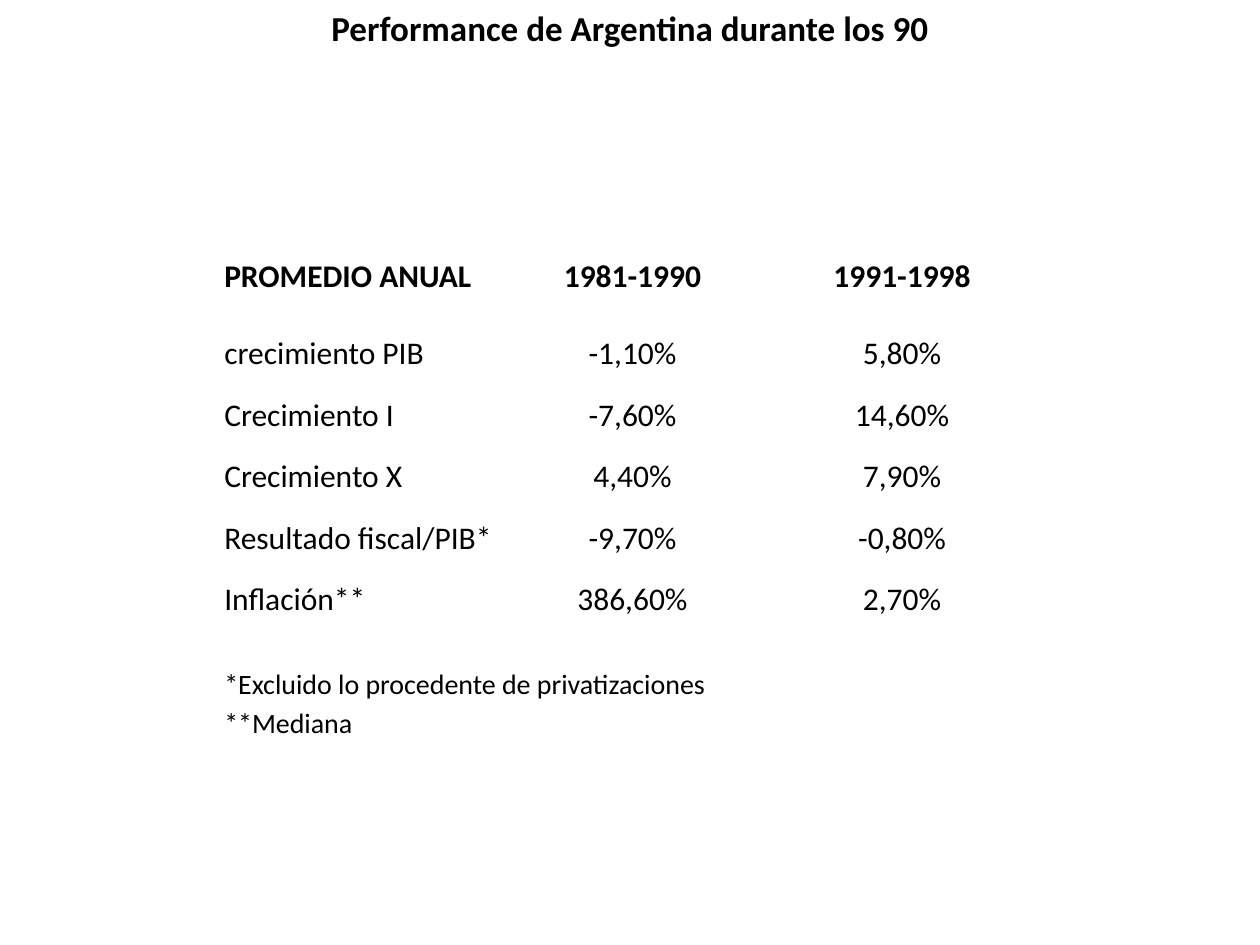
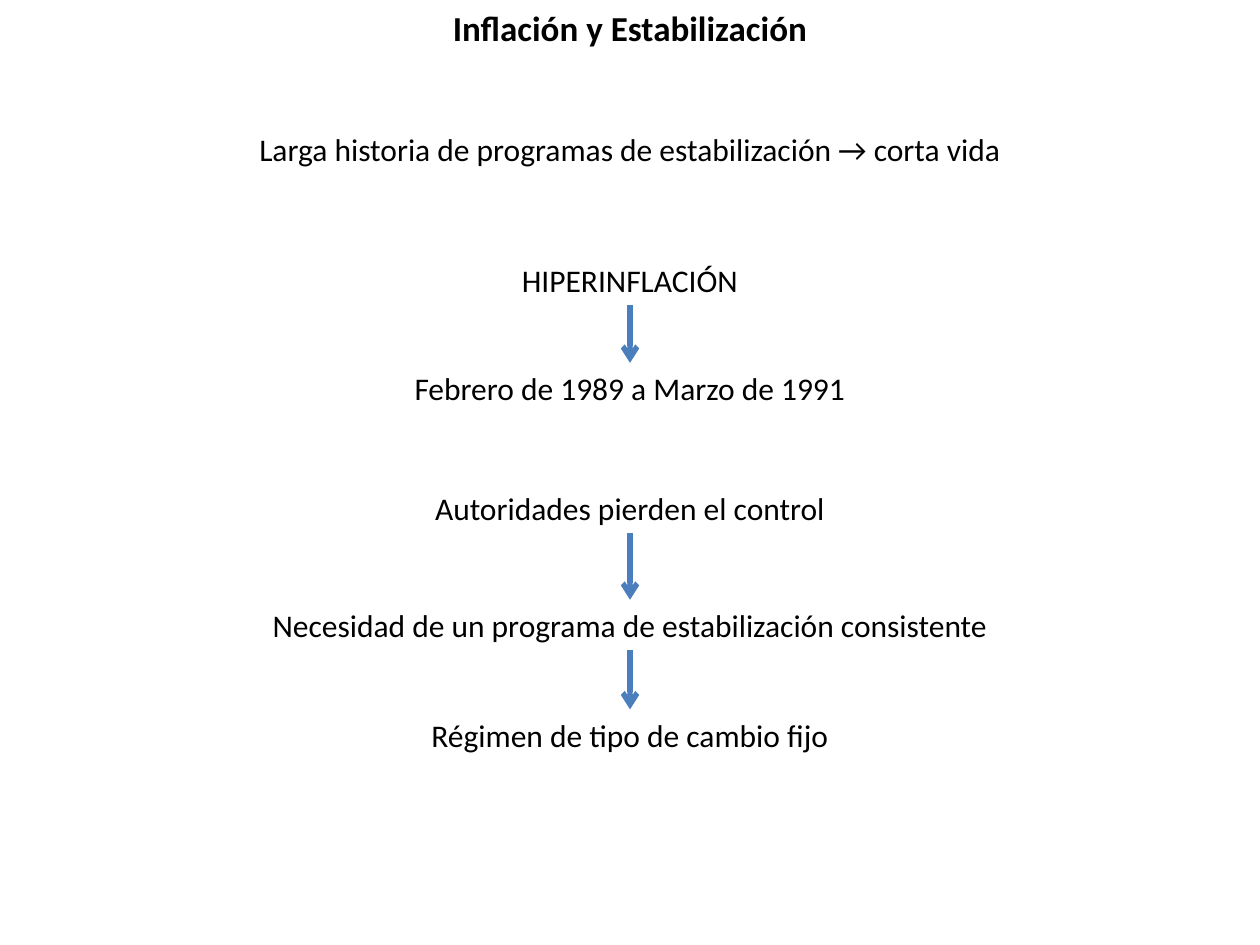
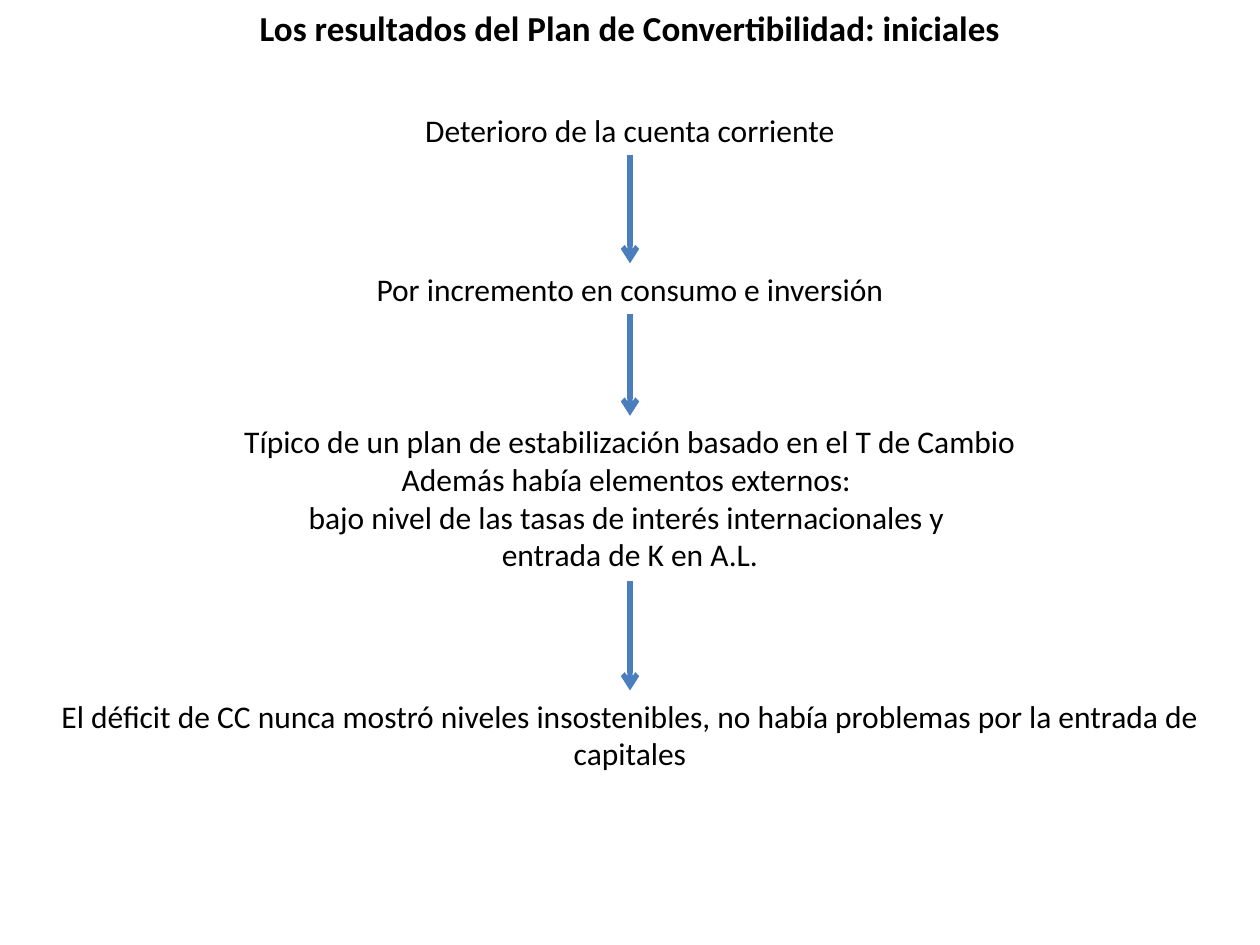
from lxml import etree
from pptx import Presentation
from pptx.dml.color import RGBColor
from pptx.enum.shapes import MSO_CONNECTOR
from pptx.enum.text import MSO_ANCHOR, MSO_AUTO_SIZE, PP_ALIGN
from pptx.oxml.ns import qn
from pptx.util import Inches, Pt

STRAIGHT = MSO_CONNECTOR.STRAIGHT
TOP, BOTTOM = MSO_ANCHOR.TOP, MSO_ANCHOR.BOTTOM
FIT = MSO_AUTO_SIZE.SHAPE_TO_FIT_TEXT
LEFT, CENTER = PP_ALIGN.LEFT, PP_ALIGN.CENTER

COLORS = {"text": "000000", "arrow": "4B7EBC"}
FONT = "Calibri"
TITLE_SIZE, BODY_SIZE, NOTE_SIZE = 20, 18, 16
COLS, ROWS = 100, 75
LINE_ROWS = 4
TITLE_ONLY = 5
SIDE_TOP, SIDE_BOTTOM = 0, 2


class Deck:
    def __init__(self):
        self.prs = Presentation()
        self.prs.slide_width, self.prs.slide_height = Inches(10), Inches(7.5)
        self.s = None

    def x(self, cols):
        return round(self.prs.slide_width * cols / COLS)

    def y(self, rows):
        return round(self.prs.slide_height * rows / ROWS)

    def place(self, sp, top, rows):
        sp.left, sp.top = 0, self.y(top)
        sp.width, sp.height = self.x(COLS), self.y(rows)

    def style(self, tf, size, bold=False, align=CENTER):
        for p in tf.paragraphs:
            p.alignment = align
            for r in p.runs:
                r.font.name = FONT
                r.font.size = Pt(size)
                r.font.bold = bold
                r.font.color.rgb = RGBColor.from_string(COLORS["text"])

    def fill_text(self, sp, text, size, bold=False):
        tf = sp.text_frame
        tf.text = text
        tf.word_wrap = True
        tf.auto_size = FIT
        tf.vertical_anchor = TOP
        self.style(tf, size, bold)

    def slide(self, title):
        self.s = self.prs.slides.add_slide(self.prs.slide_layouts[TITLE_ONLY])
        sp = self.s.shapes.title
        self.place(sp, 0, 4.4)
        self.fill_text(sp, title, TITLE_SIZE, True)

    def text(self, top, text, rows=LINE_ROWS):
        sp = self.s.shapes.add_textbox(0, 0, 0, 0)
        self.fill_text(sp, text, BODY_SIZE)
        self.place(sp, top, rows)
        return sp

    def arrow(self, start, end):
        cx = self.s.shapes.add_connector(STRAIGHT, 0, 0, 0, 0)
        cx.begin_connect(start, SIDE_BOTTOM)
        cx.end_connect(end, SIDE_TOP)
        cx.line.color.rgb = RGBColor.from_string(COLORS["arrow"])
        cx.line.width = Pt(3)
        ln = cx.line._get_or_add_ln()
        etree.SubElement(ln, qn("a:tailEnd"), type="arrow")
        etree.SubElement(cx._element.spPr, qn("a:effectLst"))

    def flow(self, *steps):
        boxes = [self.text(*step) for step in steps]
        for start, end in zip(boxes, boxes[1:]):
            self.arrow(start, end)

    def cell(self, cell, text, size, bold, align):
        cell.fill.background()
        cell.margin_left = cell.margin_right = cell.margin_top = Inches(0.01)
        cell.margin_bottom = 0
        cell.vertical_anchor = BOTTOM
        cell.text_frame.text = text
        self.style(cell.text_frame, size, bold, align)

    def table(self, left, top, widths, heights, data, spans):
        table = self.s.shapes.add_table(
            len(heights), len(widths), self.x(left), self.y(top),
            self.x(sum(widths)), self.y(sum(heights))).table
        table.first_row = table.horz_banding = False
        for col, width in zip(table.columns, widths):
            col.width = self.x(width)
        for row, height in zip(table.rows, heights):
            row.height = self.y(height)
        for i, (values, row_spans) in enumerate(zip(data, spans)):
            size = BODY_SIZE if len(values) > 1 else NOTE_SIZE
            texts = dict(zip((first for first, _ in row_spans), values))
            for j in range(len(widths)):
                self.cell(table.cell(i, j), texts.get(j, ""), size,
                          i == 0, CENTER if j else LEFT)
            for first, last in row_spans:
                if last > first:
                    table.cell(i, first).merge(table.cell(i, last))


def main():
    deck = Deck()

    deck.slide("Performance de Argentina durante los 90")
    averages = [
        ("PROMEDIO ANUAL", "1981-1990", "1991-1998"),
        ("crecimiento PIB", "-1,10%", "5,80%"),
        ("Crecimiento I", "-7,60%", "14,60%"),
        ("Crecimiento X", "4,40%", "7,90%"),
        ("Resultado fiscal/PIB*", "-9,70%", "-0,80%"),
        ("Inflación**", "386,60%", "2,70%"),
    ]
    notes = [("*Excluido lo procedente de privatizaciones",), ("**Mediana",)]
    spans = [[(0, 0), (1, 2), (3, 4)]] * len(averages)
    spans += [[(0, 4)], [(0, 1), (2, 3)]]
    deck.table(17.7, 18.6, [22, 18.7, 2.3, 21.1, 0.7],
               [4.9, 6.1, 4.9, 4.9, 4.9, 4.8, 6.6, 3.1],
               averages + notes, spans)

    deck.slide("Inflación y Estabilización")
    deck.text(9.8, "Larga historia de programas de estabilización → corta vida")
    deck.flow((20.2, "HIPERINFLACIÓN"),
              (28.8, "Febrero de 1989 a Marzo de 1991"))
    deck.flow((38.3, "Autoridades pierden el control"),
              (47.6, "Necesidad de un programa de estabilización consistente"),
              (56.3, "Régimen de tipo de cambio fijo"))

    deck.slide("Los resultados del Plan de Convertibilidad: iniciales")
    deck.flow(
        (8.3, "Deterioro de la cuenta corriente"),
        (20.9, "Por incremento en consumo e inversión"),
        (33, "Típico de un plan de estabilización basado en el T de Cambio\n"
             "Además había elementos externos: \n"
             "bajo nivel de las tasas de interés internacionales y \n"
             "entrada de K en A.L.", 13.1),
        (54.8, "El déficit de CC nunca mostró niveles insostenibles, "
               "no había problemas por la entrada de capitales", 7.1))

    deck.prs.save("out.pptx")


if __name__ == "__main__":
    main()
